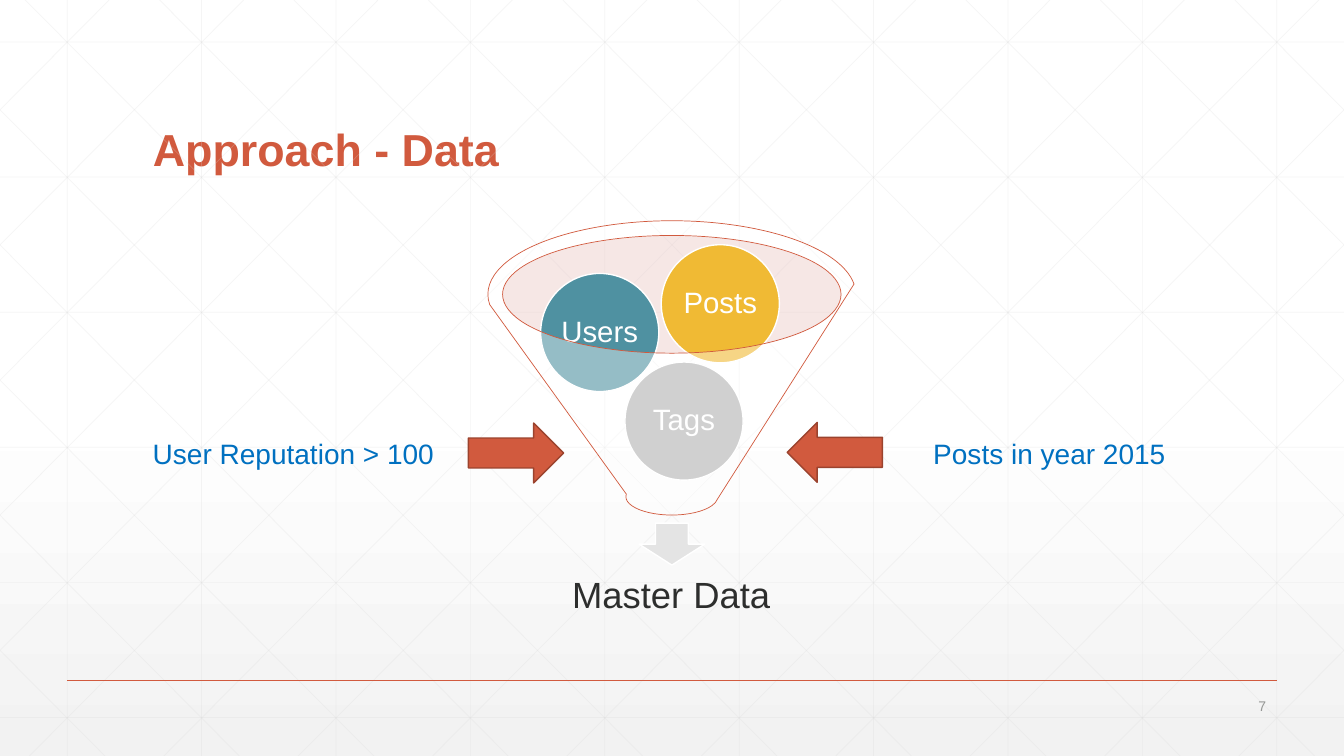
"""Build the "Approach - Data" slide: a funnel merging three data sets into master data."""
from copy import deepcopy

from lxml.etree import SubElement
from pptx import Presentation
from pptx.dml.color import RGBColor as RGB
from pptx.enum.shapes import MSO_CONNECTOR as CONN, MSO_SHAPE as SHAPE
from pptx.enum.text import MSO_ANCHOR as ANCHOR, MSO_AUTO_SIZE as AUTO, PP_ALIGN as ALIGN
from pptx.oxml.ns import qn
from pptx.util import Pt

W, H = 960, 540
COLORS = {
    "white": "FFFFFF", "haze": "F2F2F2", "grid": "D9D9D9", "red": "D15A3E",
    "dark_red": "9B432E", "pink": "E9C4C0", "silver": "E4E4E4", "gray": "B2B2B2",
    "teal": "4F91A1", "gold": "F0BA34", "ink": "2D2E2D", "number": "959795",
    "blue": "0070C0",
}
C = {name: RGB.from_string(value) for name, value in COLORS.items()}


def add_shape(kind, x, y, w, h, fill, line=None, weight=1, alpha=None):
    sp = s.shapes.add_shape(kind, Pt(x), Pt(y), Pt(w), Pt(h))
    sp.shadow.inherit = False
    sp.fill.solid()
    sp.fill.fore_color.rgb = C[fill]
    if alpha:
        clr = sp._element.xpath("./p:spPr/a:solidFill/a:srgbClr")[0]
        SubElement(clr, qn("a:alpha")).set("val", str(alpha * 1000))
    if line:
        sp.line.color.rgb = C[line]
        sp.line.width = Pt(weight)
    else:
        sp.line.fill.background()
    return sp


def set_text(sp, text, size, color, align=ALIGN.LEFT, anchor=ANCHOR.MIDDLE, spacing=1.0):
    tf = sp.text_frame
    tf.text = text
    tf.auto_size = AUTO.NONE
    tf.word_wrap = True
    tf.vertical_anchor = anchor
    p = tf.paragraphs[0]
    p.alignment = align
    p.line_spacing = spacing
    p.font.name = "Arial"
    p.font.size = Pt(size)
    p.font.color.rgb = C[color]
    return tf


prs = Presentation()
prs.slide_width, prs.slide_height = Pt(W), Pt(H)
s = prs.slides.add_slide(prs.slide_layouts[5])

bg = s.background.fill
bg.gradient()
bg.gradient_angle = 270
for stop, color in zip(bg.gradient_stops, ("white", "haze")):
    stop.color.rgb = C[color]
first = s._element.xpath("./p:cSld/p:bg//a:gs")[0]
first.addnext(deepcopy(first))
bg.gradient_stops[0].position = 0
bg.gradient_stops[1].position = 0.53

PITCH, RUN = 96, 537
lines = [(48 + PITCH * i, 0, 48 + PITCH * i, H) for i in range(10)]
lines += [(0, 30 + 96.5 * i, W, 30 + 96.5 * i) for i in range(6)]
for i in range(-5, 10):
    top = 18 + PITCH * i
    x1, x2 = max(top, 0), min(top + RUN, W)
    y1, y2 = ((x - top) * H / RUN for x in (x1, x2))
    lines += [(x1, y1, x2, y2), (W - x1, y1, W - x2, y2)]
rule = (48, 486, 912, 486)

for line in lines + [rule]:
    cn = s.shapes.add_connector(CONN.STRAIGHT, *[Pt(v) for v in line])
    cn.line.color.rgb = C["red" if line == rule else "grid"]
    cn.line.width = Pt(1 if line == rule else 0.5)
    if line != rule:
        clr = cn._element.xpath("./p:spPr/a:ln/a:solidFill/a:srgbClr")[0]
        SubElement(clr, qn("a:alpha")).set("val", "25000")
    SubElement(cn._element.spPr, qn("a:effectLst"))

title = s.shapes.title
title.left, title.top, title.width, title.height = Pt(102), Pt(39.6), Pt(756), Pt(90)
tf = set_text(title, "Approach - Data", 32, "red", anchor=ANCHOR.BOTTOM, spacing=0.9)
tf.paragraphs[0].font.bold = True

add_shape(SHAPE.OVAL, 358.9, 168.5, 242, 84, "pink", alpha=40)
add_shape(SHAPE.DOWN_ARROW, 456.5, 373.7, 46.9, 30, "silver", "white")

DIAMETER = 84.4
for text, x, y, fill in (
    ("Tags", 446.4, 258.6, "gray"),
    ("Users", 386.2, 195.3, "teal"),
    ("Posts", 472.3, 174.8, "gold"),
):
    ball = add_shape(SHAPE.OVAL, x, y, DIAMETER, DIAMETER, fill, "white")
    tf = set_text(ball, text, 21, "white", ALIGN.CENTER, spacing=0.9)
    tf.margin_left = tf.margin_right = tf.margin_top = tf.margin_bottom = Pt(2)
    tf.word_wrap = False

add_shape(SHAPE.FUNNEL, 348.5, 157.7, 262.8, 210.2, "white", "red", 0.5, 40)

for text, x, y, w, h, size, color, align, spacing in (
    ("Master Data", 367.2, 398.2, 224.6, 56.2, 26, "ink", ALIGN.CENTER, 0.9),
    ("7", 839.5, 495.4, 72, 17.3, 10, "number", ALIGN.RIGHT, 1.0),
    ("User Reputation > 100", 102, 307.8, 239, 31.5, 20, "blue", ALIGN.LEFT, 1.0),
    ("Posts in year 2015", 659.5, 308.3, 239, 31.5, 20, "blue", ALIGN.LEFT, 1.0),
):
    box = s.shapes.add_textbox(Pt(x), Pt(y), Pt(w), Pt(h))
    set_text(box, text, size, color, align, spacing=spacing)

for x, y, angle in ((562.3, 301.7, 180), (334.6, 302.2, 0)):
    arrow = add_shape(SHAPE.RIGHT_ARROW, x, y, 68, 42.8, "red", "dark_red")
    arrow.rotation = angle

prs.save("out.pptx")
